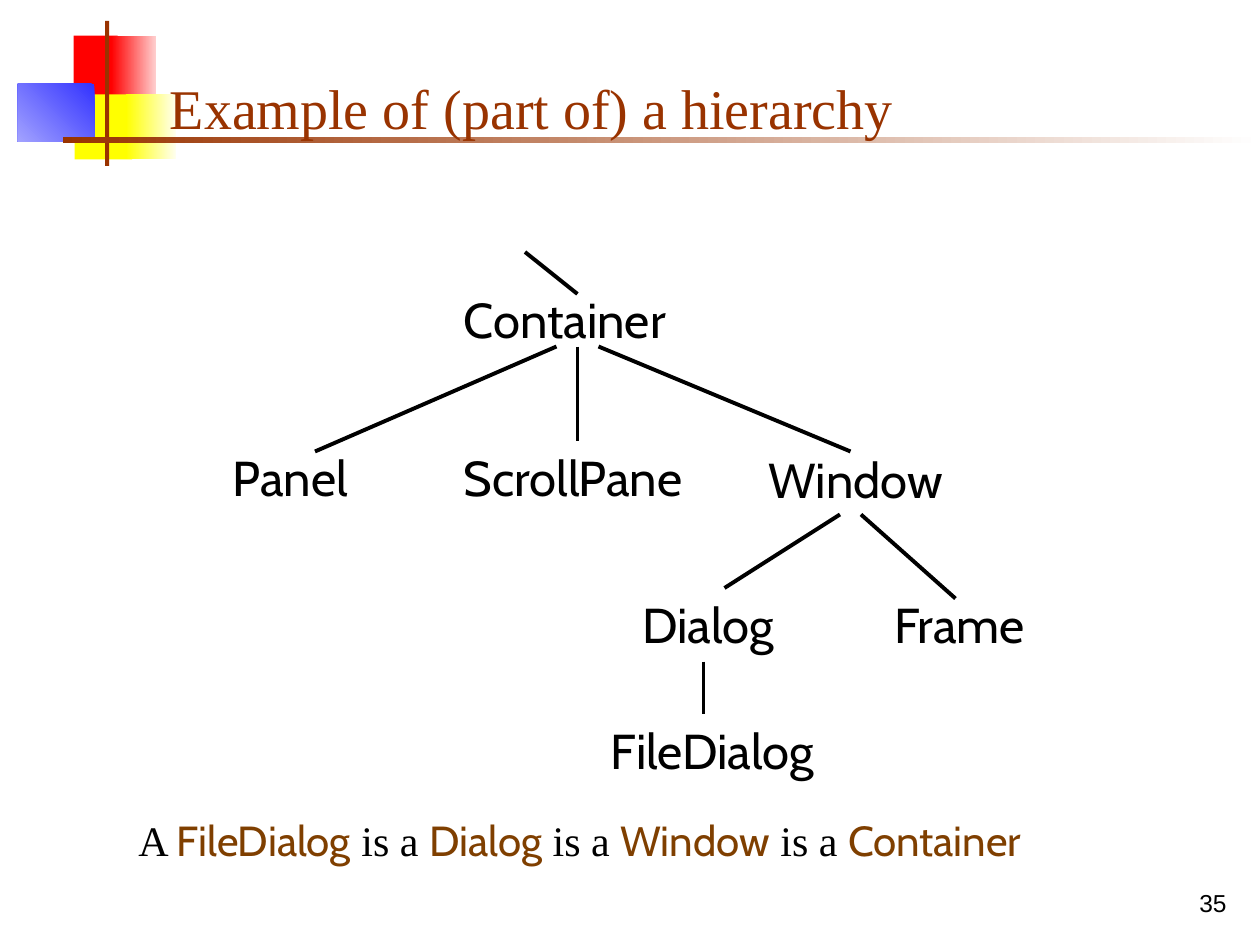
import pptx
import pptx.util
import pptx.dml.color
import pptx.enum.shapes
import pptx.enum.text
import lxml.etree

COLS, ROWS = 120, 90
WIDTH, HEIGHT = pptx.util.Inches(10), pptx.util.Inches(7.5)
SERIF, SANS = "Times New Roman", "Cabin"
RUST, BROWN, BLACK = "993300", "7F3F00", "000000"


def tint(code):
    return pptx.dml.color.RGBColor.from_string(code)


def spot(box, x, y):
    return int((box[0] + x) * WIDTH / COLS), int((box[1] + y) * HEIGHT / ROWS)


def place(box, x, y, wide, high):
    return *spot(box, x, y), *spot((0, 0), wide, high)


def write(slide, area, text, font=SANS, size=28, color=BLACK, align="LEFT", anchor="TOP"):
    frame = slide.shapes.add_textbox(*area).text_frame
    frame.word_wrap = True
    frame.vertical_anchor = pptx.enum.text.MSO_ANCHOR[anchor]
    para = frame.paragraphs[0]
    para.alignment = pptx.enum.text.PP_ALIGN[align]
    parts = [(text, font, color)] if isinstance(text, str) else text
    for words, face, code in parts:
        run = para.add_run()
        run.text = words
        run.font.name = face
        run.font.size = pptx.util.Pt(size)
        run.font.color.rgb = tint(code)


def block(slide, area, *codes, angle=180):
    shape = slide.shapes.add_shape(pptx.enum.shapes.MSO_SHAPE.RECTANGLE, *area)
    shape.shadow.inherit = False
    shape.line.fill.background()
    if len(codes) == 1:
        shape.fill.solid()
        shape.fill.fore_color.rgb = tint(codes[0])
        return
    shape.fill.gradient()
    shape.fill.gradient_angle = angle
    for stop, code, point in zip(shape.fill.gradient_stops, codes, (0, 1)):
        stop.color.rgb = tint(code)
        stop.position = point


def link(slide, start, end):
    line = slide.shapes.add_connector(
        pptx.enum.shapes.MSO_CONNECTOR.STRAIGHT, *start, *end)
    line.line.width = pptx.util.Pt(2.25)
    line.line.color.rgb = tint(BLACK)
    lxml.etree.SubElement(line._element.spPr, pptx.oxml.ns.qn("a:effectLst"))


def header(slide, box):
    block(slide, place(box, 7, 3.4, 4.2, 6.2), "FF0000")
    block(slide, place(box, 10.6, 3.4, 4.3, 6.2), "FFD1D1", "FF0000")
    block(slide, place(box, 7.1, 9, 5.5, 6.2), "FFFF00")
    block(slide, place(box, 12, 9, 4.8, 6.2), "FFFFF0", "FFFF00")
    block(slide, place(box, 1.7, 8, 7.3, 5.5), "3333FF", "A2A2FF", angle=225)
    block(slide, place(box, 10, 2, 0.4, 13.8), RUST)
    block(slide, place(box, 6, 13, 114, 0.6), "FFFFFF", RUST)
    write(slide, place(box, 15, 3, 102.2, 11), "Example of (part of) a hierarchy",
          font=SERIF, size=32, color=RUST, anchor="BOTTOM")


def tree(slide, box):
    nodes = [
        ("Container", 22, 3, 36, 6.8),
        ("Panel", 0, 18, 16, 6.8),
        ("ScrollPane", 22, 18, 25, 12.5),
        ("Window", 51, 18.2, 20, 12.5),
        ("Dialog", 39, 32, 17, 6.8),
        ("Frame", 63, 32, 17, 6.8),
        ("FileDialog", 36, 44, 25, 6.8),
    ]
    for name, *area in nodes:
        write(slide, place(box, *area), name)
    edges = [
        (32, 9, 9, 19), (34, 9, 34, 18), (36, 9, 60, 19),
        (59, 25, 48, 32), (61, 25, 70, 33), (46, 39, 46, 44),
        (34, 4, 29, 0),
    ]
    for x1, y1, x2, y2 in edges:
        link(slide, spot(box, x1, y1), spot(box, x2, y2))


def footer(slide, box):
    chain = [("A ", SERIF, BLACK)]
    for name in ("FileDialog", "Dialog", "Window", "Container"):
        chain += [(name, SANS, BROWN), (" is a ", SERIF, BLACK)]
    write(slide, place(box, 12, 0, 101, 6), chain[:-1], size=24)
    write(slide, place(box, 93, 5, 25, 6), "35",
          font="Arial", size=14, align="RIGHT", anchor="BOTTOM")


def main():
    deck = pptx.Presentation()
    deck.slide_width, deck.slide_height = WIDTH, HEIGHT
    slide = deck.slides.add_slide(deck.slide_layouts[6])
    header(slide, (0, 0))
    tree(slide, (21, 24))
    footer(slide, (0, 77))
    deck.save("out.pptx")


if __name__ == "__main__":
    main()
